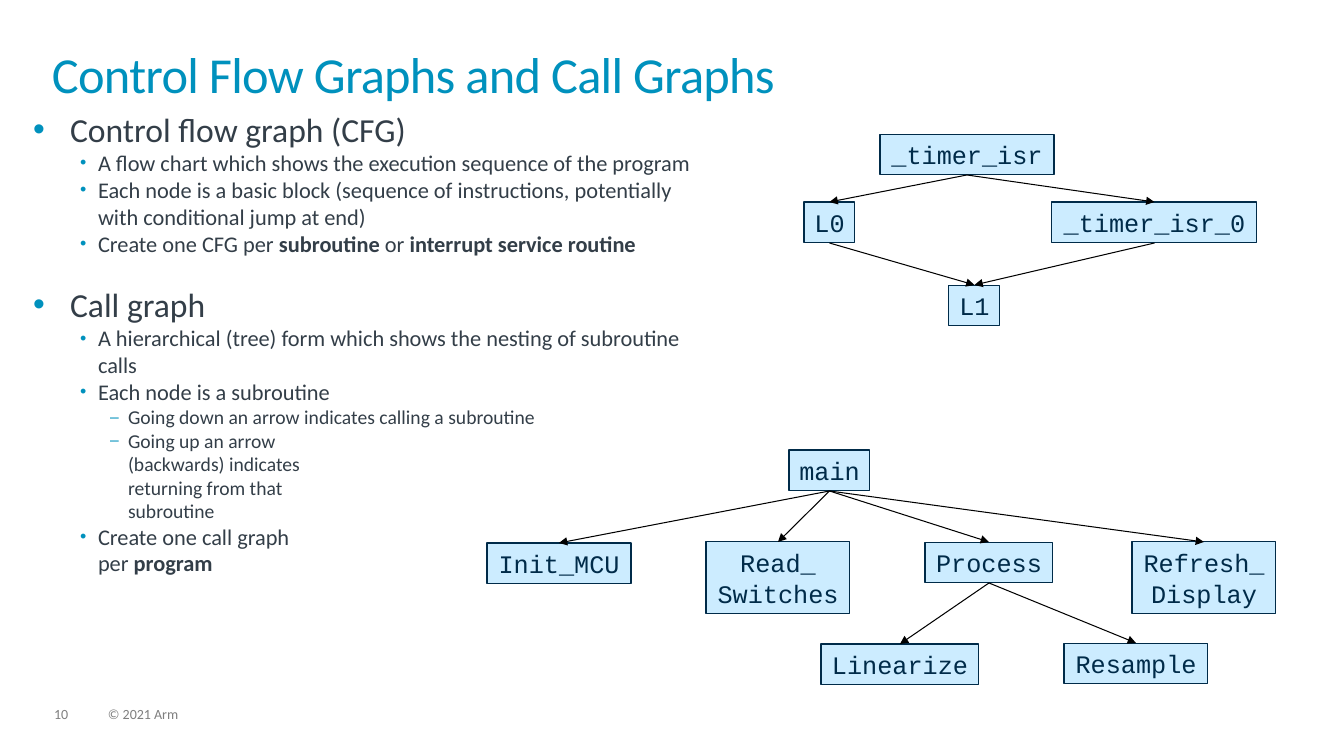
from lxml import etree
from pptx import Presentation
from pptx.dml.color import RGBColor
from pptx.enum.shapes import MSO_CONNECTOR, MSO_SHAPE
from pptx.enum.text import MSO_ANCHOR, MSO_AUTO_SIZE, PP_ALIGN
from pptx.oxml.ns import qn
from pptx.util import Emu, Pt

STRAIGHT = MSO_CONNECTOR.STRAIGHT
RECT = MSO_SHAPE.RECTANGLE
TOP = MSO_ANCHOR.TOP
FIXED, GROW = MSO_AUTO_SIZE.NONE, MSO_AUTO_SIZE.SHAPE_TO_FIT_TEXT
LEFT, CENTER = PP_ALIGN.LEFT, PP_ALIGN.CENTER

SCALE = 914400 / 100.8  # EMU in one px
SANS, MONO = "Calibri", "Courier New"
COLORS = {
    "title": "0091BD",
    "text": "333E48",
    "foot": "7F7F7F",
    "fill": "CCECFF",
    "ink": "002B49",
    "arrow": "000000",
}

# Per list level: left margin px, hanging px, mark, mark size %, text size pt
LEVELS = [
    (37, 37, "•", 100, 24),
    (65, 18, "•", 80, 16),
    (95, 18, "–", 80, 14),
]

# Level, space before in pt, text; *stars* set bold
POINTS = [
    (0, 0, "Control flow graph (CFG)"),
    (1, 0, "A flow chart which shows the execution sequence of the program"),
    (1, 0, "Each node is a basic block (sequence of instructions, potentially "
           "with conditional jump at end)"),
    (1, 0, "Create one CFG per *subroutine* or *interrupt service routine*"),
    (0, 19.5, "Call graph"),
    (1, 0, "A hierarchical (tree) form which shows the nesting of subroutine calls"),
    (1, 0, "Each node is a subroutine"),
    (2, 0, "Going down an arrow indicates calling a subroutine"),
    (2, 0, "Going up an arrow\n(backwards) indicates\nreturning from that\nsubroutine"),
    (1, 0, "Create one call graph\nper *program*"),
]

# Node text, left, top, width in px
FLOW = [
    ("_timer_isr", 880, 134, 174),
    ("L0", 804, 202, 51),
    ("L1", 949, 285, 51),
    ("_timer_isr_0", 1052, 202, 205),
]
FLOW_LINKS = [(0, 1), (0, 3), (1, 2), (3, 2)]

CALLS = [
    ("main", 789, 450, 81),
    ("Init_MCU", 487, 543, 144),
    ("Read_\nSwitches", 706, 542, 144),
    ("Process", 925, 542, 128),
    ("Refresh_\nDisplay", 1132, 542, 144),
    ("Linearize", 821, 644, 158),
    ("Resample", 1064, 643, 144),
]
CALL_LINKS = [(0, 1), (0, 2), (0, 3), (0, 4), (3, 5), (3, 6)]


def px(num):
    return Emu(round(num * SCALE))


def color(name):
    return RGBColor.from_string(COLORS[name])


def style(para, face, size, ink):
    para.font.name = face
    para.font.size = Pt(size)
    para.font.color.rgb = color(ink)


def write(para, text):
    """Fill a paragraph, with bold between stars and line breaks."""
    for i, part in enumerate(text.split("*")):
        for j, line in enumerate(part.split("\n")):
            if j:
                para.add_line_break()
            if line:
                run = para.add_run()
                run.text = line
                if i % 2:
                    run.font.bold = True


def place(shape, left, top, width, height):
    shape.left, shape.top = px(left), px(top)
    shape.width, shape.height = px(width), px(height)


def clear(frame):
    """Drop the insets and set text from the top."""
    frame.margin_left = frame.margin_right = 0
    frame.margin_top = frame.margin_bottom = 0
    frame.vertical_anchor = TOP
    frame.word_wrap = True
    frame.auto_size = FIXED


def bullet(para, level):
    left, hang, mark, size, _ = LEVELS[level]
    props = para._p.get_or_add_pPr()
    props.set("marL", str(px(left)))
    props.set("indent", str(-px(hang)))
    tint = etree.SubElement(props, qn("a:buClr"))
    etree.SubElement(tint, qn("a:srgbClr"), val=COLORS["title"])
    etree.SubElement(props, qn("a:buSzPct"), val=str(size * 1000))
    etree.SubElement(props, qn("a:buFont"), typeface="Arial")
    etree.SubElement(props, qn("a:buChar"), char=mark)


def add_title(slide, text):
    title = slide.shapes.title
    place(title, 52, 52, 1238, 73)
    clear(title.text_frame)
    para = title.text_frame.paragraphs[0]
    write(para, text)
    para.alignment = LEFT
    para.line_spacing = 0.85
    style(para, SANS, 36, "title")
    para._p.pPr.find(qn("a:defRPr")).set("spc", "-50")


def add_list(slide, points):
    body = slide.placeholders[1]
    place(body, 33, 109, 683, 647)
    frame = body.text_frame
    clear(frame)
    for i, (level, gap, text) in enumerate(points):
        para = frame.add_paragraph() if i else frame.paragraphs[0]
        para.level = level
        para.space_before = Pt(gap)
        bullet(para, level)
        write(para, text)
        style(para, SANS, LEVELS[level][-1], "text")


def add_foot(slide, text, left, width):
    box = slide.shapes.add_textbox(px(left), px(707), px(width), px(15))
    clear(box.text_frame)
    para = box.text_frame.paragraphs[0]
    write(para, text)
    para.line_spacing = 0.9
    style(para, SANS, 10, "foot")


def add_node(slide, text, left, top, width):
    high = 41 + 31 * text.count("\n")
    node = slide.shapes.add_shape(RECT, px(left), px(top), px(width), px(high))
    node.shadow.inherit = False
    node.fill.solid()
    node.fill.fore_color.rgb = color("fill")
    node.line.color.rgb = color("ink")
    node.line.width = Pt(0.75)
    frame = node.text_frame
    frame.word_wrap = False
    frame.auto_size = GROW
    para = frame.paragraphs[0]
    write(para, text)
    para.alignment = CENTER
    style(para, MONO, 18, "ink")
    return node


def add_arrow(slide, start, end):
    arrow = slide.shapes.add_connector(STRAIGHT, 0, 0, 0, 0)
    arrow.begin_connect(start, 2)
    arrow.end_connect(end, 0)
    arrow.line.color.rgb = color("arrow")
    arrow.line.width = Pt(0.75)
    etree.SubElement(arrow.line._get_or_add_ln(), qn("a:tailEnd"), type="triangle")
    etree.SubElement(arrow._element.spPr, qn("a:effectLst"))


def add_graph(slide, nodes, links):
    shapes = [add_node(slide, *node) for node in nodes]
    for start, end in links:
        add_arrow(slide, shapes[start], shapes[end])


def main():
    deck = Presentation()
    deck.slide_width, deck.slide_height = px(1344), px(756)
    slide = deck.slides.add_slide(deck.slide_layouts[1])

    # Title and list
    add_title(slide, "Control Flow Graphs and Call Graphs")
    add_list(slide, POINTS)

    # Graphs
    add_graph(slide, FLOW, FLOW_LINKS)
    add_graph(slide, CALLS, CALL_LINKS)

    # Footer
    add_foot(slide, "10", 54, 34)
    add_foot(slide, "© 2021 Arm", 108, 511)

    deck.save("out.pptx")


if __name__ == "__main__":
    main()
